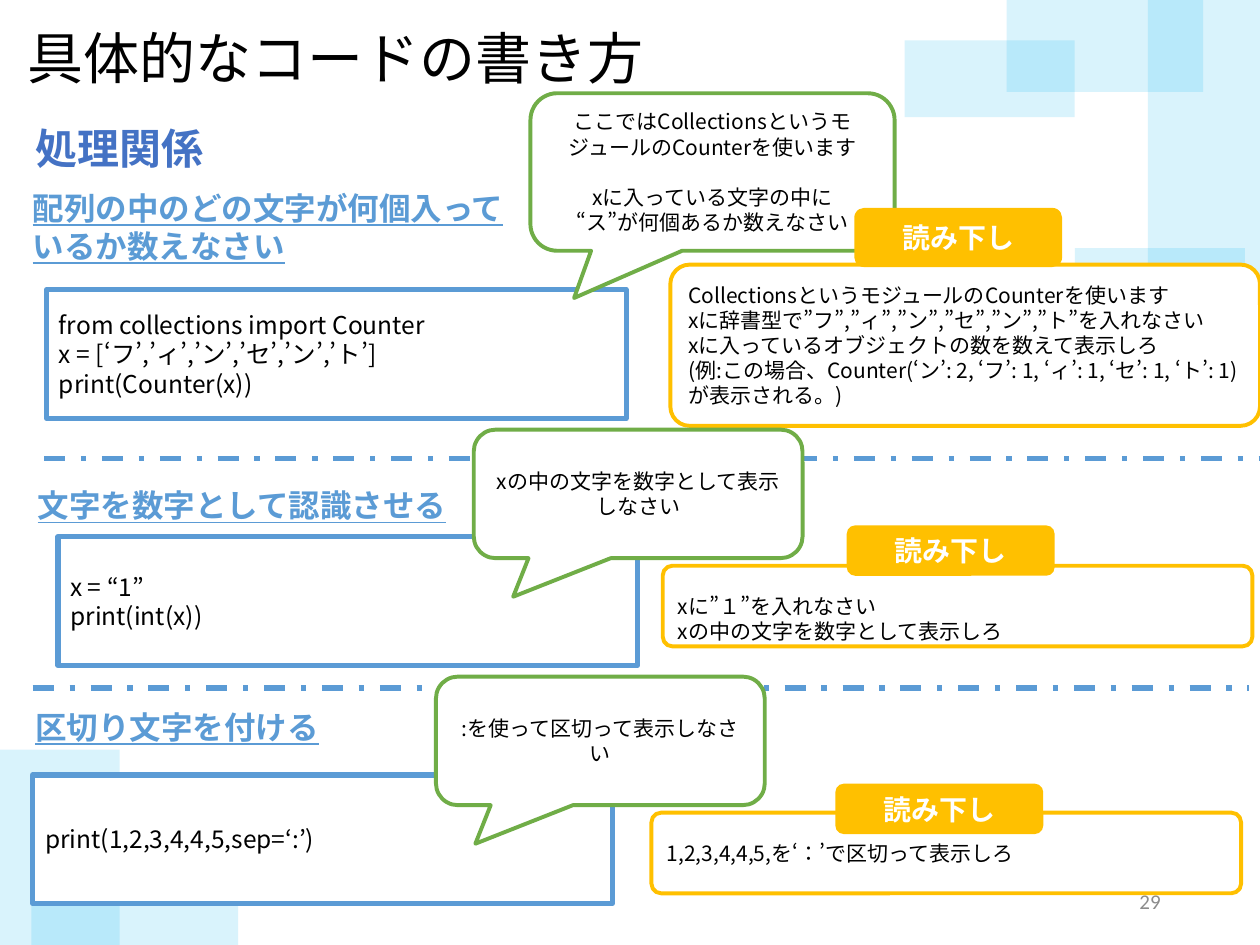
"""Build the slide on concrete ways of writing code."""
from lxml import etree
from pptx import Presentation
from pptx.dml.color import RGBColor
from pptx.enum.dml import MSO_LINE
from pptx.enum.lang import MSO_LANGUAGE_ID
from pptx.enum.shapes import MSO_CONNECTOR, MSO_SHAPE
from pptx.enum.text import MSO_ANCHOR, PP_ALIGN
from pptx.oxml.ns import qn
from pptx.util import Inches, Pt

RECT, ROUND = MSO_SHAPE.RECTANGLE, MSO_SHAPE.ROUNDED_RECTANGLE
CALLOUT = MSO_SHAPE.ROUNDED_RECTANGULAR_CALLOUT
STRAIGHT, DASH_DOT = MSO_CONNECTOR.STRAIGHT, MSO_LINE.DASH_DOT
LEFT, CENTER, RIGHT = PP_ALIGN.LEFT, PP_ALIGN.CENTER, PP_ALIGN.RIGHT
TOP, MIDDLE = MSO_ANCHOR.TOP, MSO_ANCHOR.MIDDLE
JAPANESE = MSO_LANGUAGE_ID.JAPANESE

BLACK = RGBColor(0x00, 0x00, 0x00)
WHITE = RGBColor(0xFF, 0xFF, 0xFF)
GRAY = RGBColor(0x8C, 0x8C, 0x8C)
INDIGO = RGBColor(0x44, 0x72, 0xC4)
BLUE = RGBColor(0x5B, 0x9B, 0xD5)
GREEN = RGBColor(0x70, 0xAD, 0x47)
GOLD = RGBColor(0xFF, 0xC0, 0x00)
SKY = RGBColor(0x00, 0xB0, 0xF0)
FONT = "Noto Sans CJK JP"

SLIDE_W, SLIDE_H = 10, 7.5
CODE_SIZE = (4.6, 1.02)
READING_W, BADGE_W, BADGE_DX = 4.68, 1.65, 1.46
LINE_GAP = 14.5

TILES = [
    (8.53, 1.97, 1.35, 0.61), (9.11, 0, 0.89, 2.24), (7.99, -0.01, 1.56, 0.74),
    (7.18, 0.32, 1.35, 0.61), (0, 5.95, 0.95, 1.55), (0.25, 6.95, 1.64, 0.56),
]
DIVIDERS = [(0.35, 10, 3.64), (0.26, 9.91, 5.46)]
SECTIONS = [
    {
        "heading": ("配列の中のどの文字が何個入っているか数えなさい", (0.16, 1.45, 3.95, 0.71)),
        "code": (["from collections import Counter",
                  "x = [‘フ’,’ィ’,’ン’,’セ’,’ン’,’ト’]",
                  "print(Counter(x))"], (0.37, 2.3)),
        "callout": (["ここではCollectionsというモジュールのCounterを使います",
                     "xに入っている文字の中に",
                     "“ス”が何個あるか数えなさい"], (4.21, 0.74, 2.89, 1.25)),
        "reading": (["CollectionsというモジュールのCounterを使います",
                     "xに辞書型で”フ”,”ィ”,”ン”,”セ”,”ン”,”ト”を入れなさい",
                     "xに入っているオブジェクトの数を数えて表示しろ",
                     "(例:この場合、Counter(‘ン’: 2, ‘フ’: 1, ‘ィ’: 1, ‘セ’: 1, ‘ト’: 1)が表示される。)"],
                    (5.32, 2.1, 1.28)),
        "badge": (1.65, 0.47),
        "gap_before": 1,
    },
    {
        "heading": ("文字を数字として認識させる", (0.2, 3.81, 3.95, 0.4)),
        "code": (["x = “1”", "print(int(x))"], (0.46, 4.26)),
        "callout": (["xの中の文字を数字として表示しなさい"], (3.76, 3.41, 2.61, 1.02)),
        "reading": (["xに”１”を入れなさい", "xの中の文字を数字として表示しろ"],
                    (5.26, 4.49, 0.64)),
        "badge": (4.17, 0.4),
        "inset_top": 0.25,
    },
    {
        "heading": ("区切り文字を付ける", (0.18, 5.57, 3.95, 0.4)),
        "code": (["print(1,2,3,4,4,5,sep=‘:’)"], (0.26, 6.15)),
        "callout": ([":を使って区切って表示しなさい"], (3.46, 5.37, 2.61, 1.02)),
        "reading": (["1,2,3,4,4,5,を‘：’で区切って表示しろ"], (5.17, 6.45, 0.64)),
        "badge": (6.22, 0.4),
    },
]


def write(s, lines, size=12, color=BLACK, font=FONT, bold=False, underline=False,
          align=LEFT, anchor=MIDDLE, spacing=None, gap_before=None, inset_top=0.05):
    tf = s.text_frame
    tf.word_wrap = True
    tf.vertical_anchor = anchor
    tf.margin_left = tf.margin_right = Inches(0.1)
    tf.margin_top, tf.margin_bottom = Inches(inset_top), Inches(0.05)
    for i, line in enumerate(lines):
        p = tf.paragraphs[0] if i == 0 else tf.add_paragraph()
        p.alignment = align
        p.line_spacing = spacing
        p.space_before = Pt(LINE_GAP if i == gap_before else 0)
        r = p.add_run()
        r.text = line
        f = r.font
        f.name, f.size, f.bold, f.underline = font, Pt(size), bold, underline
        f.color.rgb = color
        f.language_id = JAPANESE
        ea = etree.SubElement(r._r.get_or_add_rPr(), qn("a:ea"))
        ea.set("typeface", font)


def add_text(slide, box, lines, **fmt):
    write(slide.shapes.add_textbox(*map(Inches, box)), lines, **fmt)


def add_box(slide, kind, box, fill, line=None, width=2.25, adj=()):
    s = slide.shapes.add_shape(kind, *map(Inches, box))
    s.shadow.inherit = False
    s.fill.solid()
    s.fill.fore_color.rgb = fill
    if line is None:
        s.line.fill.background()
    else:
        s.line.color.rgb = line
        s.line.width = Pt(width)
    for i, value in enumerate(adj):
        s.adjustments[i] = value
    return s


def add_tile(slide, box):
    s = add_box(slide, RECT, box, SKY)
    color = s._element.spPr.find(qn("a:solidFill"))[0]
    etree.SubElement(color, qn("a:alpha")).set("val", "15000")


def add_divider(slide, x1, x2, y):
    c = slide.shapes.add_connector(STRAIGHT, *map(Inches, (x1, y, x2, y)))
    c.line.color.rgb = BLUE
    c.line.width = Pt(3)
    c.line.dash_style = DASH_DOT
    etree.SubElement(c._element.spPr, qn("a:effectLst"))


def add_section(slide, section):
    text, box = section["heading"]
    add_text(slide, box, [text], size=18, color=BLUE, bold=True, underline=True, anchor=TOP)

    lines, corner = section["code"]
    write(add_box(slide, RECT, corner + CODE_SIZE, WHITE, BLUE, 3), lines, size=14)

    lines, box = section["callout"]
    s = add_box(slide, CALLOUT, box, WHITE, GREEN, adj=(-0.38, 0.8, 0.17))
    write(s, lines, align=CENTER, gap_before=section.get("gap_before"))

    lines, (x, y, h) = section["reading"]
    s = add_box(slide, ROUND, (x, y, READING_W, h), WHITE, GOLD, adj=(0.12,))
    write(s, lines, inset_top=section.get("inset_top", 0.05))

    y, h = section["badge"]
    s = add_box(slide, ROUND, (x + BADGE_DX, y, BADGE_W, h), GOLD)
    write(s, ["読み下し"], size=16, color=WHITE, bold=True, align=CENTER)


def main():
    prs = Presentation()
    prs.slide_width, prs.slide_height = Inches(SLIDE_W), Inches(SLIDE_H)
    slide = prs.slides.add_slide(prs.slide_layouts[5])

    title = slide.shapes.title
    title.left, title.top, title.width, title.height = map(Inches, (0.12, 0.13, 6.37, 0.64))
    write(title, ["具体的なコードの書き方"], size=32)

    for box in TILES:
        add_tile(slide, box)
    add_text(slide, (7.06, 6.95, 2.25, 0.4), ["29"], color=GRAY, font="Calibri", align=RIGHT)
    add_text(slide, (0.18, 0.72, 5.18, 0.66), ["処理関係"], size=24, color=INDIGO,
             bold=True, anchor=TOP, spacing=1.5)
    for divider in DIVIDERS:
        add_divider(slide, *divider)
    for section in SECTIONS:
        add_section(slide, section)
    prs.save("out.pptx")


if __name__ == "__main__":
    main()
